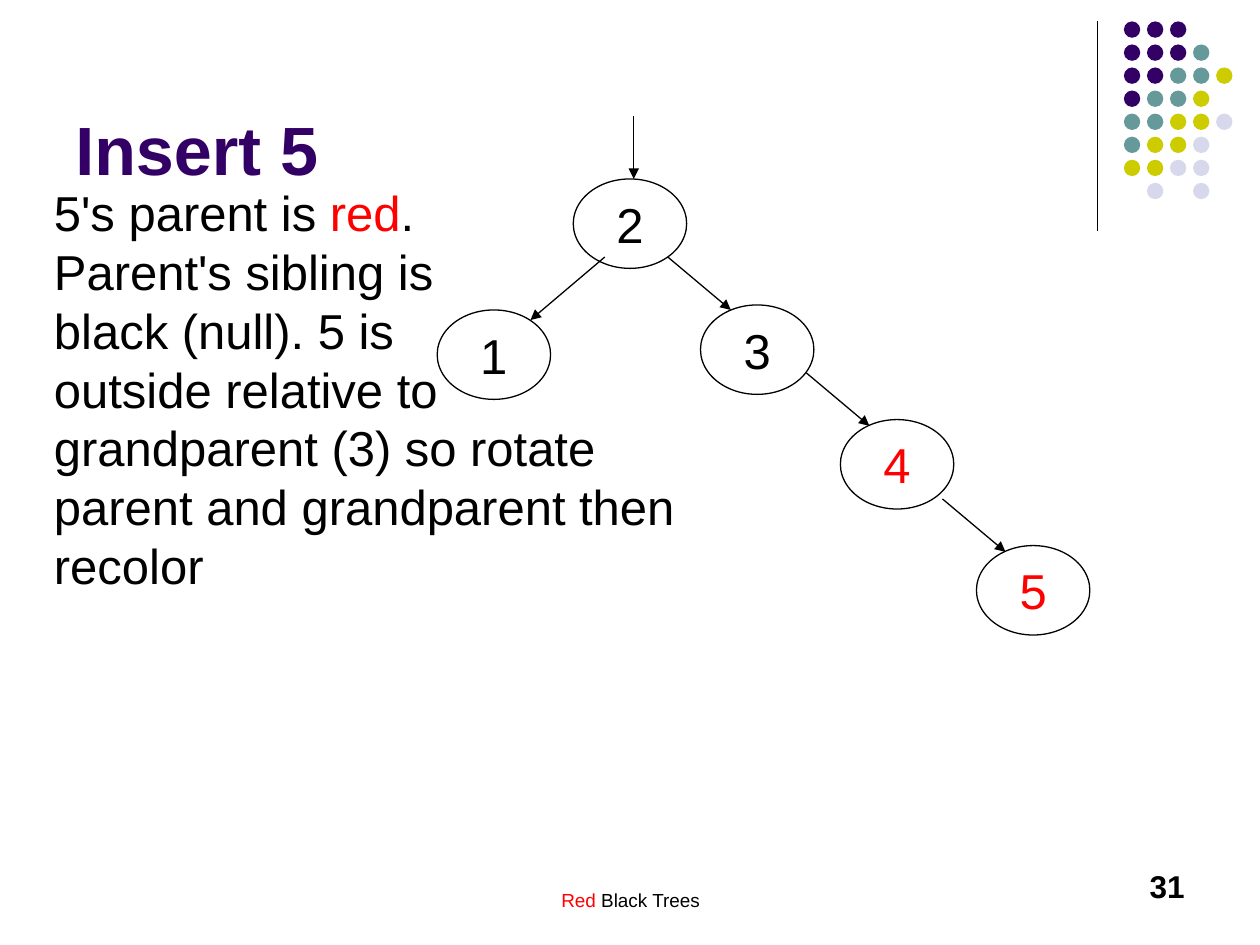
from pptx import Presentation
from pptx.dml.color import RGBColor
from pptx.enum import shapes, text
from pptx.oxml.ns import qn
from pptx.util import Inches, Pt
from lxml import etree

BLACK = RGBColor(0x00, 0x00, 0x00)
RED = RGBColor(0xFF, 0x00, 0x00)
PURPLE = RGBColor(0x33, 0x00, 0x66)
TEAL = RGBColor(0x66, 0x99, 0x99)
LIME = RGBColor(0xCC, 0xCC, 0x00)
PALE = RGBColor(0xD8, 0xD8, 0xEC)

DOTS = ["PPP", "PPPT", "PPTTL", "PTTL", "TTLLA", "TLLA", "LLAA", " A A"]
INKS = {"P": PURPLE, "T": TEAL, "L": LIME, "A": PALE}
STEP = 0.183

# label, left, top, colour
NODES = [
    ("2", 4.55, 1.42, BLACK),
    ("1", 3.47, 2.46, BLACK),
    ("3", 5.56, 2.42, BLACK),
    ("4", 6.67, 3.33, RED),
    ("5", 7.75, 4.33, RED),
]
ARROWS = [
    (5.03, 0.92, 5.03, 1.42),
    (5.3, 2.04, 5.8, 2.46),
    (4.8, 2.04, 4.21, 2.54),
    (6.4, 2.96, 6.9, 3.38),
    (7.48, 3.96, 7.98, 4.38),
]
REST = [
    ".", "Parent's sibling is", "black (null). 5 is", "outside relative to",
    "grandparent (3) so rotate", "parent and grandparent then", "recolor",
]


def box(slide, at, runs, size, align=text.PP_ALIGN.LEFT, bold=False,
        anchor=text.MSO_ANCHOR.TOP, wrap=True):
    """Add one paragraph; each run is (text, colour), None breaks the line."""
    frame = slide.shapes.add_textbox(*map(Inches, at)).text_frame
    frame.word_wrap = wrap
    frame.vertical_anchor = anchor
    para = frame.paragraphs[0]
    para.alignment = align
    for item in runs:
        if item is None:
            para.add_line_break()
            continue
        run = para.add_run()
        run.text, run.font.color.rgb = item
    style(para.font, size, bold)


def style(font, size, bold=False):
    font.name = "Arial"
    font.size = Pt(size)
    font.bold = bold


def oval(slide, *at):
    shape = slide.shapes.add_shape(shapes.MSO_SHAPE.OVAL, *map(Inches, at))
    shape.shadow.inherit = False
    return shape


def dots(slide):
    for row, marks in enumerate(DOTS):
        for col, mark in enumerate(marks):
            if mark in INKS:
                dot = oval(slide, 8.92 + col * STEP, 0.17 + row * STEP, 0.13, 0.13)
                dot.fill.solid()
                dot.fill.fore_color.rgb = INKS[mark]
                dot.line.fill.background()


def node(slide, label, left, top, ink):
    shape = oval(slide, left, top, 0.9, 0.71)
    shape.fill.background()
    shape.line.color.rgb = BLACK
    shape.line.width = Pt(0.75)
    frame = shape.text_frame
    frame.margin_left = frame.margin_right = 0
    frame.margin_top = frame.margin_bottom = 0
    frame.vertical_anchor = text.MSO_ANCHOR.MIDDLE
    para = frame.paragraphs[0]
    para.text = label
    para.alignment = text.PP_ALIGN.CENTER
    style(para.font, 28)
    para.font.color.rgb = ink


def line(slide, ends, head=False):
    link = slide.shapes.add_connector(
        shapes.MSO_CONNECTOR.STRAIGHT, *map(Inches, ends))
    link.line.color.rgb = BLACK
    link.line.width = Pt(0.75)
    if head:
        etree.SubElement(link.line._get_or_add_ln(), qn("a:tailEnd"), type="triangle")
    etree.SubElement(link._element.spPr, qn("a:effectLst"))


def main():
    deck = Presentation()
    deck.slide_width, deck.slide_height = Inches(10), Inches(7.5)
    slide = deck.slides.add_slide(deck.slide_layouts[6])

    line(slide, (8.71, 0.17, 8.71, 1.83))
    dots(slide)
    box(slide, (3.42, 7, 3.17, 0.33), [("Red", RED), (" Black Trees", BLACK)],
        10.8, text.PP_ALIGN.CENTER)
    box(slide, (7.17, 6.83, 2.33, 0.5), [("31", BLACK)], 18,
        text.PP_ALIGN.RIGHT, bold=True)
    box(slide, (0.5, 0.13, 8.25, 1.42), [("Insert 5", PURPLE)], 39,
        bold=True, anchor=text.MSO_ANCHOR.BOTTOM)

    for item in NODES:
        node(slide, *item)
    for ends in ARROWS:
        line(slide, ends, head=True)

    runs = [("5's parent is ", BLACK), ("red", RED), (REST[0], BLACK)]
    for words in REST[1:]:
        runs += [None, (words, BLACK)]
    box(slide, (0.33, 1.4, 5.12, 3.37), runs, 28, wrap=False)

    deck.save("out.pptx")


if __name__ == "__main__":
    main()
